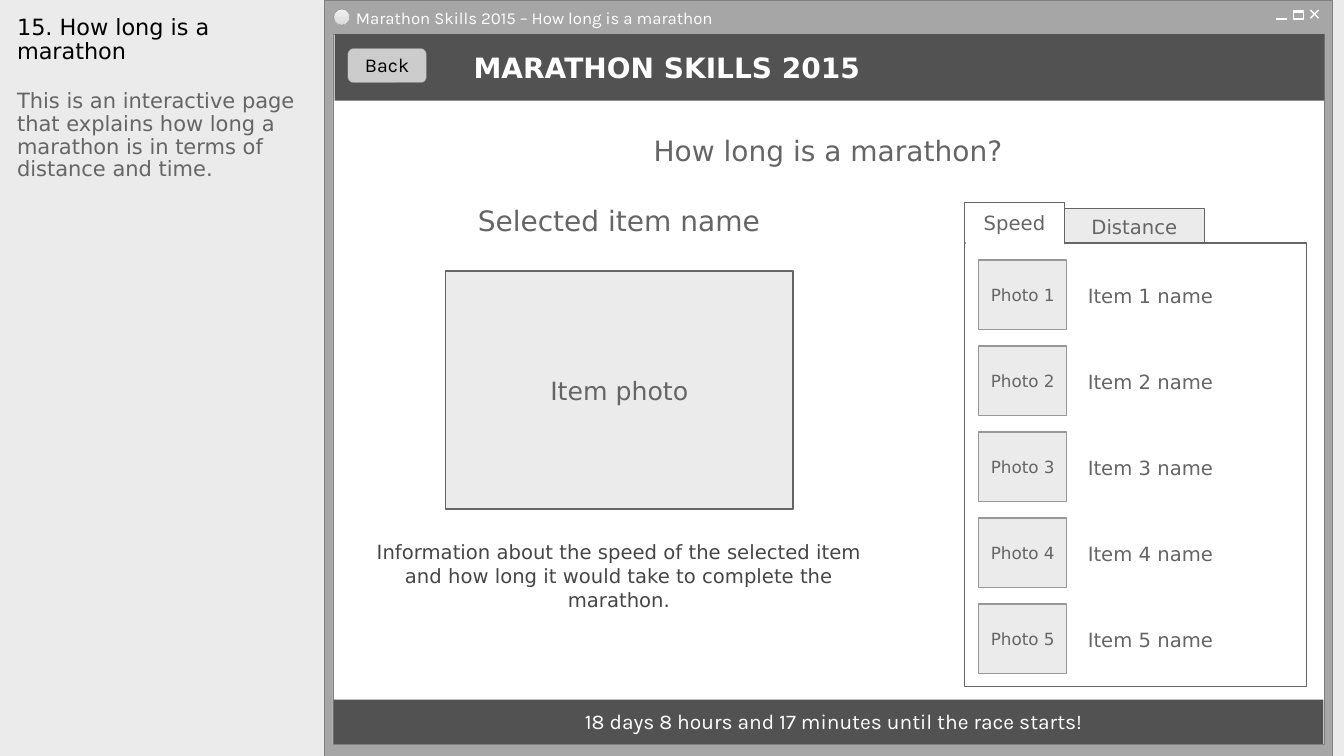
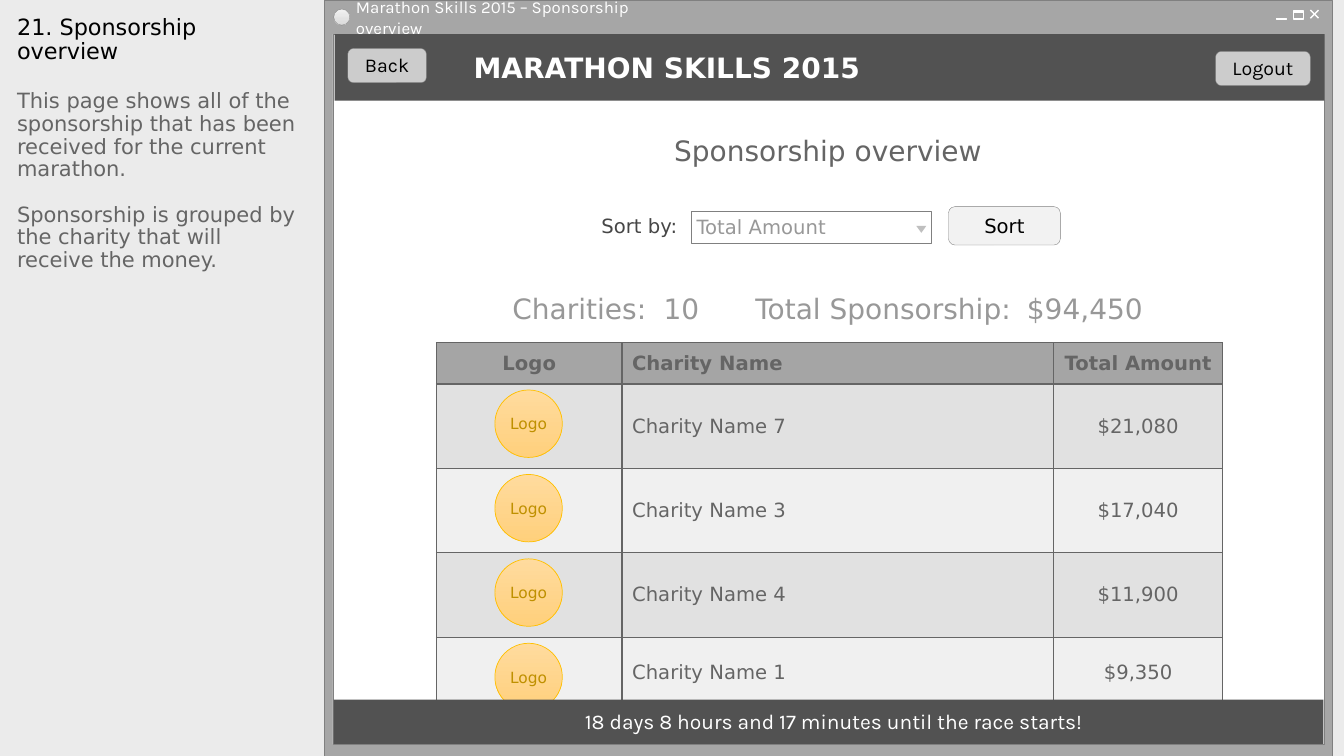
from dataclasses import dataclass
from typing import NamedTuple

from lxml.etree import SubElement
from pptx import Presentation
from pptx.dml.color import RGBColor as Rgb
from pptx.enum.shapes import MSO_CONNECTOR as Link, MSO_SHAPE as Kind
from pptx.enum.text import MSO_ANCHOR as Anchor, MSO_AUTO_SIZE as Auto, PP_ALIGN as Align
from pptx.oxml import parse_xml
from pptx.oxml.ns import nsdecls, qn
from pptx.util import Pt

hue = Rgb.from_string


class Font(NamedTuple):
    size: float
    color: Rgb
    face: str = "DejaVu Sans"
    bold: bool = False


class Box(NamedTuple):
    x: float
    y: float
    w: float
    h: float

    def pts(self) -> list:
        return [Pt(v) for v in self]


class Inset(NamedTuple):
    left: float
    top: float
    right: float
    bottom: float


@dataclass(frozen=True)
class Theme:
    white: Rgb = hue("FFFFFF")
    panel: Rgb = hue("EBEBEB")
    frame: Rgb = hue("A6A6A6")
    band: Rgb = hue("525252")
    edge: Rgb = hue("808080")
    rule: Rgb = hue("656565")
    soft: Rgb = hue("989898")
    icon: Rgb = hue("919191")
    arrow: Rgb = hue("BFBFBF")
    button: Rgb = hue("CCCCCC")
    light: Rgb = hue("F2F2F2")
    dot: tuple = (hue("F2F2F2"), hue("D9D9D9"))
    gold: tuple = (hue("FFDB9E"), hue("FFD07C"))
    ring: Rgb = hue("FFC000")
    head: Rgb = hue("A5A5A5")
    rows: tuple = (hue("E1E1E1"), hue("F0F0F0"))
    title: Font = Font(16, hue("000000"))
    note: Font = Font(15, hue("656565"))
    bar: Font = Font(12, hue("FFFFFF"), "Karla")
    brand: Font = Font(20, hue("FFFFFF"), bold=True)
    foot: Font = Font(15, hue("FFFFFF"), "Karla")
    press: Font = Font(14, hue("000000"), "Karla")
    sort: Font = Font(14, hue("000000"))
    big: Font = Font(20, hue("656565"))
    total: Font = Font(20, hue("989898"))
    photo: Font = Font(18, hue("656565"))
    text: Font = Font(14, hue("656565"))
    bold: Font = Font(14, hue("656565"), bold=True)
    dark: Font = Font(14, hue("464646"))
    pale: Font = Font(14, hue("989898"))
    small: Font = Font(12, hue("656565"))
    logo: Font = Font(11, hue("BF9000"))


T = Theme()
SHAPE = Inset(7.2, 3.6, 7.2, 3.6)
LABEL = Inset(7.2, 1.5, 7.2, 2)
PRESS = Inset(7.2, 0, 7.2, 0.7)
NONE = Inset(0, 0, 0, 0)


class Page(NamedTuple):
    title: str
    notes: str
    window: str
    span: float
    head: str


class Charity(NamedTuple):
    name: str
    total: str


# Text and shape helpers
def style(frame, text: str, font: Font, align=Align.CENTER) -> None:
    frame.text = text
    for para in frame.paragraphs:
        para.alignment = align
        para.font.size = Pt(font.size)
        para.font.name = font.face
        para.font.bold = font.bold
        para.font.color.rgb = font.color


def write(shape, text: str, font: Font, align=Align.CENTER,
          inset: Inset = SHAPE, anchor=Anchor.MIDDLE) -> None:
    frame = shape.text_frame
    frame.word_wrap = True
    frame.auto_size = Auto.NONE
    frame.vertical_anchor = anchor
    frame.margin_left, frame.margin_top, frame.margin_right, frame.margin_bottom = (
        Pt(v) for v in inset)
    style(frame, text, font, align)


def label(shapes, box: Box, text: str, font: Font, align=Align.CENTER,
          inset: Inset = LABEL, anchor=Anchor.MIDDLE):
    item = shapes.add_textbox(*box.pts())
    write(item, text, font, align, inset, anchor)
    return item


def draw(shapes, box: Box, fill=None, line=None, width: float = 1, kind=Kind.RECTANGLE):
    item = shapes.add_shape(kind, *box.pts())
    item.shadow.inherit = False
    if fill is None:
        item.fill.background()
    elif isinstance(fill, Rgb):
        item.fill.solid()
        item.fill.fore_color.rgb = fill
    else:
        item.fill.gradient()
        item.fill.gradient_angle = 270
        for stop, color in zip(item.fill.gradient_stops, fill):
            stop.color.rgb = color
    if line is None:
        item.line.fill.background()
    else:
        item.line.color.rgb = line
        item.line.width = Pt(width)
    return item


def button(shapes, box: Box, text: str, fill: Rgb = T.button, font: Font = T.press) -> None:
    item = draw(shapes, box, fill, T.edge, 0.25, Kind.ROUNDED_RECTANGLE)
    write(item, text, font, inset=PRESS)


def stroke(shapes, x: float, top: float, end: float, low: float) -> None:
    item = shapes.add_connector(Link.STRAIGHT, Pt(x), Pt(top), Pt(end), Pt(low))
    item.line.color.rgb = T.white
    item.line.width = Pt(1)
    SubElement(item._element.spPr, qn("a:effectLst"))


# Parts shared by all slides
def window(slide, page: Page) -> None:
    group = slide.shapes.add_group_shape().shapes
    draw(group, Box(231.8, 0, 720, 540), T.frame, T.edge, 0.25)
    draw(group, Box(237.8, 24.5, 708, 507), T.white, T.edge, 0.25)
    label(group, Box(250.6, 3.6, page.span, 18), page.window, T.bar, Align.LEFT,
          Inset(3.6, 1.5, 7.2, 2))
    stroke(group, 936, 7.2, 941.8, 13)
    stroke(group, 941.8, 7.2, 936, 13)
    draw(group, Box(923.8, 7.9, 7.2, 0.7), T.icon, T.white, 0.25)
    draw(group, Box(923.8, 7.9, 7.2, 5.8), None, T.white)
    draw(group, Box(911.5, 13, 7.2, 0.7), T.icon, T.white, 0.25)
    draw(group, Box(238.4, 6.5, 11.5, 11.5), T.dot, T.edge, 0.25, Kind.OVAL)


def panel(slide, page: Page) -> None:
    title, body = slide.shapes.title, slide.placeholders[1]
    for item, box, text, font in (
            (title, Box(5, 7.9, 216.7, 52.6), page.title, T.title),
            (body, Box(5, 61.2, 216.7, 465.8), page.notes, T.note)):
        item.left, item.top, item.width, item.height = box.pts()
        write(item, text, font, Align.LEFT, anchor=Anchor.TOP)
        for count, para in enumerate(item.text_frame.paragraphs):
            props = para._p.get_or_add_pPr()
            props.set("marL", "0")
            props.set("indent", "0")
            props.insert(0, parse_xml(f"<a:buNone {nsdecls('a')}/>"))
            para.line_spacing = 0.9
            para.space_before = Pt(16 if count else 0)


def start(deck, page: Page):
    slide = deck.slides.add_slide(deck.slide_layouts[1])
    panel(slide, page)
    window(slide, page)
    shapes = slide.shapes
    draw(shapes, Box(239, 24.5, 707, 47.5), T.band)
    label(shapes, Box(331.2, 34.6, 306.7, 28), "MARATHON SKILLS 2015", T.brand, Align.LEFT)
    button(shapes, Box(248.4, 34.6, 56.2, 24.5), "Back")
    label(shapes, Box(327.6, 93.6, 527.8, 28), page.head, T.big)
    return shapes


def footer(shapes) -> None:
    draw(shapes, Box(238.3, 499.7, 707, 31.7), T.band)
    label(shapes, Box(311.8, 504.7, 567.4, 21.6),
          "18 days 8 hours and 17 minutes until the race starts!", T.foot)


# Slide: how long is a marathon
def distance(deck) -> None:
    shapes = start(deck, Page(
        "15. How long is a marathon",
        "This is an interactive page that explains how long a marathon is "
        "in terms of distance and time.",
        "Marathon Skills 2015 – How long is a marathon", 267.8, "How long is a marathon?"))
    footer(shapes)

    # Selected item
    label(shapes, Box(247, 143.3, 390.2, 28), "Selected item name", T.big)
    write(draw(shapes, Box(318.2, 193.7, 248.4, 170), T.panel, T.rule), "Item photo", T.photo)
    label(shapes, Box(257.8, 384.5, 368.6, 54.7),
          "Information about the speed of the selected item and how long "
          "it would take to complete the marathon.", T.dark, anchor=Anchor.TOP)

    # Tabs and their pane
    for text, box, fill in (("Distance", Box(760.3, 149, 100, 25.2), T.panel),
                            ("Speed", Box(689, 144.7, 71.3, 28.8), T.white)):
        write(draw(shapes, box, fill, T.rule), text, T.text)
    draw(shapes, Box(689, 173.5, 244.1, 316.8), T.white, T.rule)
    draw(shapes, Box(689.8, 170.6, 70.2, 5.8), T.white)
    for row in range(5):
        top = 185.8 + 61.4 * row
        write(draw(shapes, Box(699.1, top, 62.9, 49.7), T.panel, T.soft),
              f"Photo {row + 1}", T.small)
        label(shapes, Box(769.9, top + 15, 154, 21), f"Item {row + 1} name", T.text, Align.LEFT)


# Slide: sponsorship overview
def border(cell) -> None:
    props = cell._tc.get_or_add_tcPr()
    for side in ("lnL", "lnR", "lnT", "lnB"):
        line = SubElement(props, qn(f"a:{side}"), w=str(Pt(1)))
        fill = SubElement(line, qn("a:solidFill"))
        SubElement(fill, qn("a:srgbClr"), val=str(T.rule))


def ledger(shapes, items: list[Charity]) -> None:
    wide, high = (132.5, 308.2, 121), (29.5, 60.3, 60.3, 60.3, 51)
    box = Box(311.8, 244.8, sum(wide), sum(high))
    table = shapes.add_table(len(high), len(wide), *box.pts()).table
    table.horz_banding = False
    for col, size in zip(table.columns, wide):
        col.width = Pt(size)
    lines = [("Logo", "Charity Name", "Total Amount")] + [("", *item) for item in items]
    for row, (line, size) in enumerate(zip(lines, high)):
        table.rows[row].height = Pt(size)
        for col, text in enumerate(line):
            cell = table.cell(row, col)
            border(cell)
            cell.fill.solid()
            cell.fill.fore_color.rgb = T.rows[(row - 1) % 2] if row else T.head
            cell.vertical_anchor = Anchor.MIDDLE
            style(cell.text_frame, text, T.text if row else T.bold,
                  Align.LEFT if col == 1 else Align.CENTER)
    for row in range(len(items)):
        disc = draw(shapes, Box(353.5, 278.6 + 60.3 * row, 48.2, 48.2),
                    T.gold, T.ring, 0.5, Kind.OVAL)
        write(disc, "Logo", T.logo, inset=Inset(2.9, 3.6, 2.9, 3.6))


def sponsors(deck) -> None:
    shapes = start(deck, Page(
        "21. Sponsorship overview",
        "This page shows all of the sponsorship that has been received for the current marathon.\n"
        "Sponsorship is grouped by the charity that will receive the money.",
        "Marathon Skills 2015 – Sponsorship overview", 251.3, "Sponsorship overview"))
    button(shapes, Box(868.3, 36.7, 67.7, 24.5), "Logout")

    # Sort controls
    label(shapes, Box(372.2, 152.6, 111.6, 17.3), "Sort by:", T.dark, Align.RIGHT, NONE)
    field = draw(shapes, Box(493.9, 150.5, 171.4, 23), T.white, T.edge, 0.25)
    write(field, "Total Amount", T.pale, Align.LEFT, Inset(3.6, 3.6, 3.6, 3.6))
    arrow = draw(shapes, Box(654.5, 161.3, 7.2, 5), T.arrow, kind=Kind.ISOSCELES_TRIANGLE)
    arrow.rotation = 180
    button(shapes, Box(677.5, 147.6, 79.9, 27.4), "Sort", T.light, T.sort)

    # Totals, spaced by tab stops
    sums = label(shapes, Box(366, 208.1, 490, 24.5),
                 "Charities:\t10\tTotal Sponsorship:\t$94,450", T.total, Align.LEFT, NONE)
    props = sums.text_frame.paragraphs[0]._p.get_or_add_pPr()
    stops = "".join(f'<a:tab pos="{Pt(x)}" algn="l"/>' for x in (108, 173.5, 367.5))
    props.insert(0, parse_xml(f"<a:tabLst {nsdecls('a')}>{stops}</a:tabLst>"))

    ledger(shapes, [Charity("Charity Name 7", "$21,080"), Charity("Charity Name 3", "$17,040"),
                    Charity("Charity Name 4", "$11,900"), Charity("Charity Name 1", "$9,350")])
    footer(shapes)


def main() -> None:
    deck = Presentation()
    deck.slide_width, deck.slide_height = Pt(960), Pt(540)
    back = deck.slide_master.background.fill
    back.solid()
    back.fore_color.rgb = T.panel
    distance(deck)
    sponsors(deck)
    deck.save("out.pptx")


if __name__ == "__main__":
    main()
